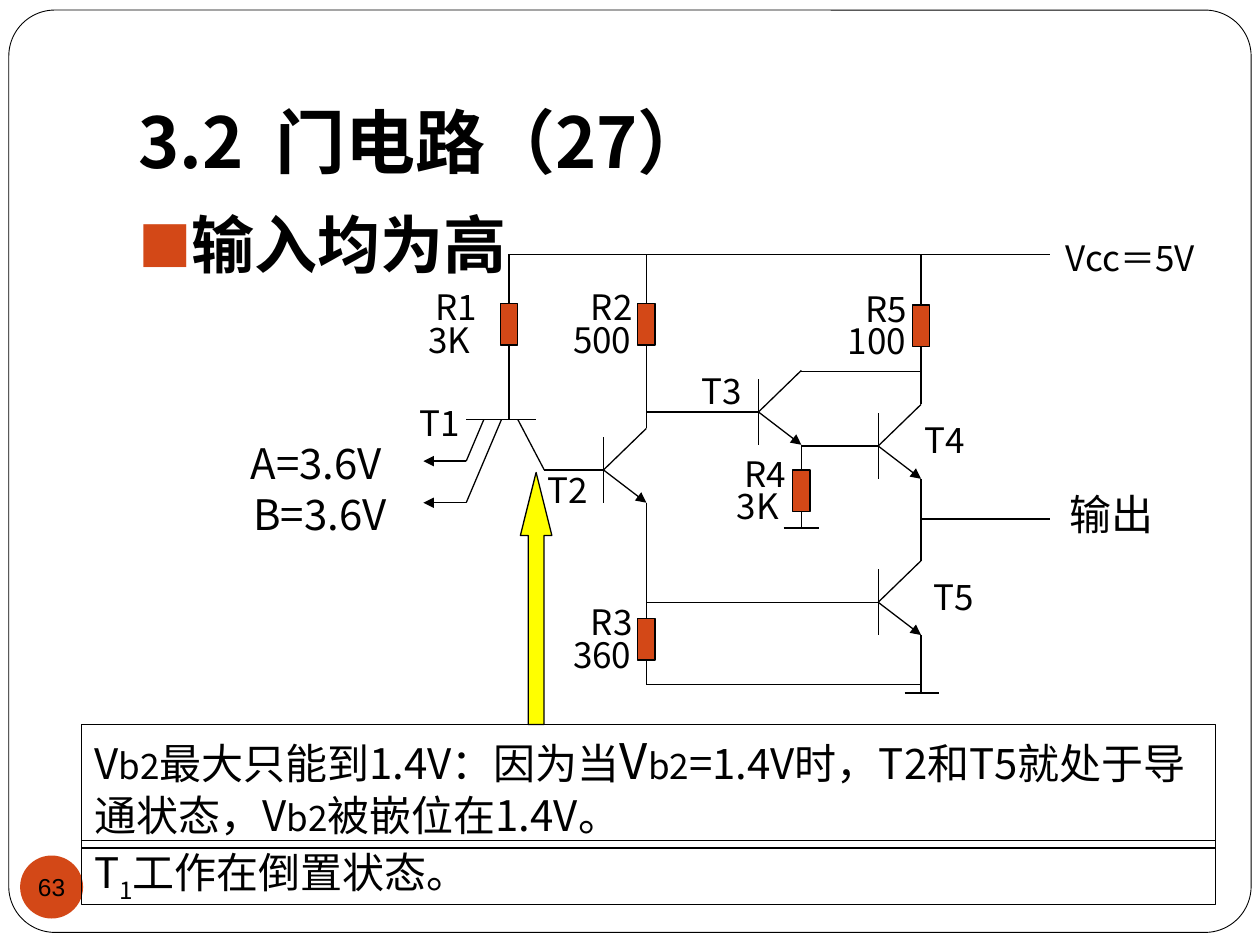
from lxml.etree import SubElement
from pptx import Presentation
from pptx.dml.color import RGBColor
from pptx.enum.shapes import MSO_CONNECTOR as Line, MSO_SHAPE as Shape
from pptx.enum.text import MSO_ANCHOR as Anchor, MSO_AUTO_SIZE as Fit, PP_ALIGN as Align
from pptx.oxml.ns import qn
from pptx.util import Inches, Pt


class Theme:
    ink = RGBColor(0, 0, 0)
    paper = RGBColor(255, 255, 255)
    accent = RGBColor(0xD3, 0x48, 0x17)
    pointer = RGBColor(255, 255, 0)
    cjk, latin = "Noto Sans CJK JP", "Arial"
    title, heading, large, body, label, number = 40, 36, 28, 24, 20, 14
    frame_line, wire_line = 0.5, 0.75


# Content: lengths in inches
TITLE = "3.2  门电路（27）"
HEADING = "输入均为高"
PAGE = "63"

# name, value, wire x, body top, lead top, lead bottom, name left, value left
RESISTORS = [
    ("R1", "3K", 4.04, 2.41, 2.02, 3.33, 3.36, 3.30),
    ("R2", "500", 5.13, 2.41, 2.02, 3.40, 4.59, 4.45),
    ("R5", "100", 7.31, 2.42, 2.02, 3.21, 6.77, 6.63),
    ("R4", "3K", 6.36, 3.73, 3.54, 4.19, 5.81, 5.75),
    ("R3", "360", 5.13, 4.91, 3.99, 5.43, 4.59, 4.45),
]
# name, base x, base y, label left, label top
TRANSISTORS = [
    ("T2", 4.79, 3.73, 4.25, 3.67),
    ("T3", 6.02, 3.27, 5.47, 2.88),
    ("T4", 6.97, 3.54, 7.24, 3.27),
    ("T5", 6.97, 4.78, 7.31, 4.52),
]
WIRES = [
    [(4.04, 2.02), (8.33, 2.02)],                # supply rail
    [(3.70, 3.33), (4.25, 3.33)],                # T1 base
    [(4.11, 3.33), (4.32, 3.73), (4.79, 3.73)],  # T1 collector to T2
    [(5.13, 3.27), (6.02, 3.27)],                # T2 collector to T3
    [(6.36, 2.95), (7.31, 2.95)],                # T3 collector
    [(6.36, 3.54), (6.97, 3.54)],                # T3 emitter to T4
    [(6.22, 4.19), (6.50, 4.19)],                # ground under R4
    [(5.13, 4.78), (6.97, 4.78)],                # T2 emitter to T5
    [(7.31, 3.80), (7.31, 4.45)],                # T4 emitter to T5
    [(7.31, 4.12), (8.33, 4.12)],                # output
    [(5.13, 5.43), (7.31, 5.43)],                # ground rail
    [(7.31, 5.04), (7.31, 5.50)],
    [(7.18, 5.50), (7.45, 5.50)],
]
INPUTS = [
    [(3.84, 3.33), (3.70, 3.66), (3.36, 3.66)],
    [(3.98, 3.33), (3.70, 3.99), (3.36, 3.99)],
]
# text, left, top, width, height, size, side inset
TERMINALS = [
    ("T1", 3.23, 3.14, 0.61, 0.43, Theme.label, 0.1),
    ("Vcc＝5V", 8.36, 1.83, 1.4, 0.43, Theme.label, 0.1),
    ("A=3.6V", 1.99, 3.42, 1.4, 0.5, Theme.body, 0),
    ("B=3.6V", 2.01, 3.83, 1.3, 0.5, Theme.body, 0),
    ("输出", 8.39, 3.83, 1.33, 0.5, Theme.body, 0.1),
]
# top, height, runs of (text, size, baseline shift)
NOTES = [
    (5.75, 0.98, [
        ("V", Theme.body, 0), ("b2", Theme.label, 0),
        ("最大只能到1.4V：因为当", Theme.body, 0),
        ("V", Theme.large, 0), ("b2", Theme.label, 0),
        ("=1.4V时，T2和T5就处于导通状态，V", Theme.body, 0),
        ("b2", Theme.label, 0), ("被嵌位在1.4V。", Theme.body, 0)]),
    (6.67, 0.51, [
        ("T", Theme.body, 0), ("1", Theme.body, -25000),
        ("工作在倒置状态。", Theme.body, 0)]),
]

deck = Presentation()
deck.slide_width, deck.slide_height = Inches(10), Inches(7.5)
slide = deck.slides.add_slide(deck.slide_layouts[6])


def add_run(paragraph, text, size, face=Theme.cjk, bold=False, shift=0):
    run = paragraph.add_run()
    run.text = text
    font = run.font
    font.size, font.name, font.bold = Pt(size), face, bold
    font.color.rgb = Theme.ink
    props = font._element
    SubElement(props, qn("a:ea"), typeface=Theme.cjk)
    if shift:
        props.set("baseline", str(shift))


def set_frame(owner, insets=(0.1, 0.05, 0.1, 0.05), anchor=Anchor.TOP, wrap=True):
    frame = owner.text_frame
    frame.word_wrap, frame.vertical_anchor, frame.auto_size = wrap, anchor, Fit.NONE
    (frame.margin_left, frame.margin_top,
     frame.margin_right, frame.margin_bottom) = map(Inches, insets)
    return frame.paragraphs[0]


def add_text(text, left, top, width, height, size, side=0.1):
    box = slide.shapes.add_textbox(*map(Inches, (left, top, width, height)))
    add_run(set_frame(box, (side, 0.05, side, 0.05)), text, size)


def add_block(kind, left, top, width, height, fill=None, line=Theme.wire_line):
    block = slide.shapes.add_shape(kind, *map(Inches, (left, top, width, height)))
    block.shadow.inherit = False
    if fill is None:
        block.fill.background()
    else:
        block.fill.solid()
        block.fill.fore_color.rgb = fill
    if line:
        block.line.color.rgb, block.line.width = Theme.ink, Pt(line)
    else:
        block.line.fill.background()
    return block


def add_wire(points, arrow=False):
    for start, end in zip(points, points[1:]):
        wire = slide.shapes.add_connector(Line.STRAIGHT, *map(Inches, start + end))
        wire.line.color.rgb, wire.line.width = Theme.ink, Pt(Theme.wire_line)
        if arrow and end == points[-1]:
            SubElement(wire.line._get_or_add_ln(), qn("a:tailEnd"), type="triangle")
        SubElement(wire._element.spPr, qn("a:effectLst"))


# Page frame, title and page number
border = add_block(Shape.ROUNDED_RECTANGLE, 0.07, 0.08, 9.86, 7.32,
                   Theme.paper, Theme.frame_line)
border.adjustments[0] = 0.05
title = slide.shapes.add_textbox(*map(Inches, (1, 0.3, 8.5, 1.25)))
add_run(set_frame(title, (0.1, 0.05, 0.1, 0.1), Anchor.BOTTOM),
        TITLE, Theme.title, bold=True)
badge = add_block(Shape.OVAL, 0.16, 6.79, 0.5, 0.5, Theme.accent, None)
page = set_frame(badge, (0, 0, 0, 0), Anchor.MIDDLE, False)
page.alignment = Align.CENTER
add_run(page, PAGE, Theme.number, Theme.latin)

# Bulleted heading
body = slide.shapes.add_textbox(*map(Inches, (1, 1.58, 8.5, 5)))
heading = set_frame(body)
bullet = heading._p.get_or_add_pPr()
bullet.set("marL", str(Inches(0.39)))
bullet.set("indent", str(-Inches(0.39)))
SubElement(SubElement(bullet, qn("a:buClr")), qn("a:srgbClr"), val=str(Theme.accent))
SubElement(bullet, qn("a:buSzPct"), val="85000")
SubElement(bullet, qn("a:buFont"), typeface=Theme.cjk)
SubElement(bullet, qn("a:buChar"), char="■")
add_run(heading, HEADING, Theme.heading, Theme.latin, bold=True)

# Wires and input arrows
for points in WIRES:
    add_wire(points)
for points in INPUTS:
    add_wire(points, arrow=True)

# Resistors with leads, name and value
for name, value, x, top, lead_top, lead_bottom, name_left, value_left in RESISTORS:
    add_wire([(x, lead_top), (x, top)])
    add_wire([(x, top + 0.33), (x, lead_bottom)])
    add_block(Shape.RECTANGLE, x - 0.07, top, 0.14, 0.33, Theme.accent)
    add_text(name, name_left, top - 0.19, 0.62, 0.43, Theme.label)
    add_text(value, value_left, top + 0.07, 0.75, 0.43, Theme.label)

# Transistors: bar, collector, emitter
for name, x, y, left, top in TRANSISTORS:
    add_wire([(x, y - 0.26), (x, y + 0.26)])
    add_wire([(x + 0.34, y - 0.33), (x, y)])
    add_wire([(x, y), (x + 0.34, y + 0.26)], arrow=True)
    add_text(name, left, top, 0.61, 0.43, Theme.label)

# Terminal labels
for terminal in TERMINALS:
    add_text(*terminal)

# Pointer and explanation boxes
pointer = add_block(Shape.UP_ARROW, 4.13, 3.75, 0.25, 2, Theme.pointer)
pointer.adjustments[0], pointer.adjustments[1] = 0.5, 2
for top, height, runs in NOTES:
    note = set_frame(add_block(Shape.RECTANGLE, 0.65, top, 9, height))
    note.alignment = Align.LEFT
    for text, size, shift in runs:
        add_run(note, text, size, shift=shift)

deck.save("out.pptx")
